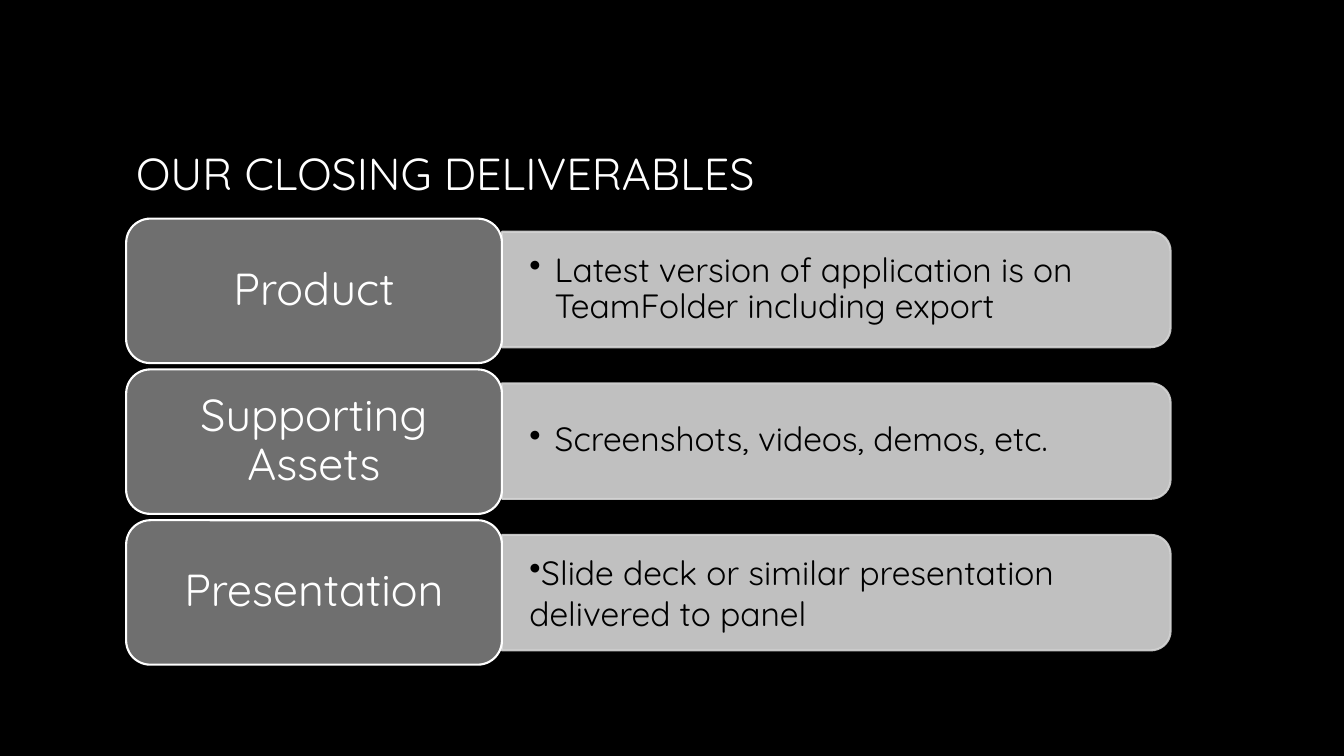
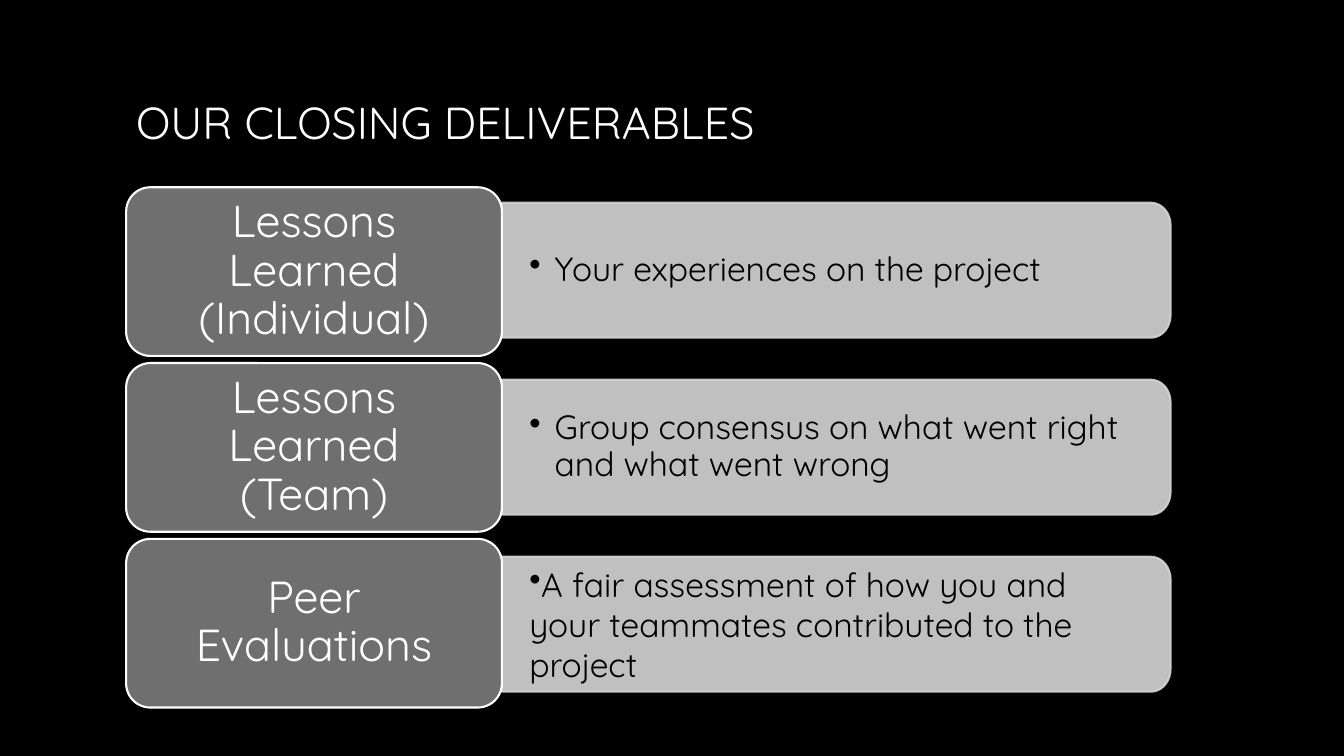
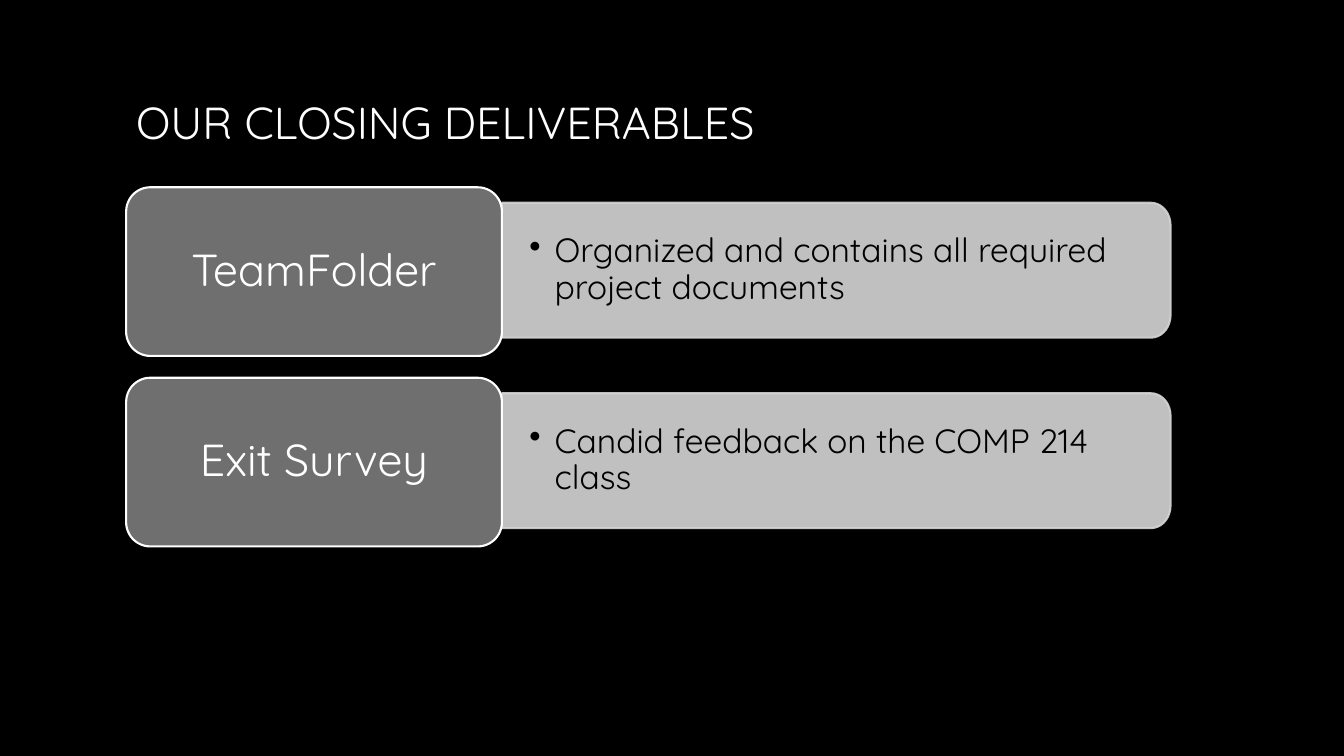
import dataclasses
import math

import lxml.etree
import pptx
import pptx.dml.color
import pptx.enum.shapes
import pptx.enum.text
import pptx.oxml.ns
import pptx.shapes.autoshape
import pptx.slide
import pptx.util

Cm = pptx.util.Cm

FONT = "Quicksand"
BLACK = "000000"
WHITE = "FFFFFF"
SILVER = "A6A6A6"
LABEL_GREY = "6F6F6F"
DETAIL_GREY = "D5D5D5"

TITLE = "OUR CLOSING DELIVERABLES"
LEFT = 3.18
LABEL_WIDTH = 9.47
DETAIL_WIDTH = 16.85
LABEL_RADIUS = 0.61
DETAIL_RADIUS = 0.5
LINE_WIDTH = 1.5


@dataclasses.dataclass
class Row:
    label: str
    detail: str
    hanging: bool = True


@dataclasses.dataclass
class Stack:
    """Vertical rhythm of one column of boxes, in centimetres."""
    top: float
    pitch: float
    height: float

    def row_top(self, index: int) -> float:
        return self.top + index * self.pitch


@dataclasses.dataclass
class Deliverables:
    title_top: float
    labels: Stack
    details: Stack
    rows: list[Row]


SLIDES = [
    Deliverables(1.7, Stack(5.51, 3.8, 3.64), Stack(5.84, 3.82, 2.91), [
        Row("Product", "Latest version of application is on TeamFolder including export"),
        Row("Supporting Assets", "Screenshots, videos, demos, etc."),
        Row("Presentation", "Slide deck or similar presentation delivered to panel", hanging=False),
    ]),
    Deliverables(0.43, Stack(4.72, 4.43, 4.25), Stack(5.11, 4.46, 3.4), [
        Row("Lessons Learned (Individual)", "Your experiences on the project"),
        Row("Lessons Learned (Team)", "Group consensus on what went right and what went wrong"),
        Row("Peer Evaluations",
            "A fair assessment of how you and your teammates contributed to the project",
            hanging=False),
    ]),
    Deliverables(0.43, Stack(4.72, 4.8, 4.25), Stack(5.11, 4.8, 3.4), [
        Row("TeamFolder", "Organized and contains all required project documents"),
        Row("Exit Survey", "Candid feedback on the COMP 214 class"),
    ]),
]


def color(value: str) -> pptx.dml.color.RGBColor:
    return pptx.dml.color.RGBColor.from_string(value)


def paint(shape: pptx.shapes.autoshape.Shape, fill: str, line: str) -> None:
    shape.shadow.inherit = False
    shape.fill.solid()
    shape.fill.fore_color.rgb = color(fill)
    shape.line.color.rgb = color(line)
    shape.line.width = pptx.util.Pt(LINE_WIDTH)


def set_opacity(shape: pptx.shapes.autoshape.Shape, percent: int) -> None:
    """Apply one opacity to the fill and the line of a painted shape."""
    for element in list(shape.element.spPr.iter(pptx.oxml.ns.qn("a:srgbClr"))):
        alpha = lxml.etree.SubElement(element, pptx.oxml.ns.qn("a:alpha"))
        alpha.set("val", str(percent * 1000))


def write(shape: pptx.shapes.autoshape.Shape, text: str, *, size: float, font_color: str,
          insets: tuple[float, float, float, float],
          alignment: pptx.enum.text.PP_ALIGN = pptx.enum.text.PP_ALIGN.LEFT,
          line_spacing: float = 1.0):
    """Fill the shape with one middle-anchored paragraph and return it."""
    frame = shape.text_frame
    frame.word_wrap = True
    frame.auto_size = pptx.enum.text.MSO_AUTO_SIZE.NONE
    frame.vertical_anchor = pptx.enum.text.MSO_ANCHOR.MIDDLE
    frame.margin_left, frame.margin_top, frame.margin_right, frame.margin_bottom = map(Cm, insets)
    paragraph = frame.paragraphs[0]
    paragraph.alignment = alignment
    paragraph.line_spacing = line_spacing
    run = paragraph.add_run()
    run.text = text
    run.font.name = FONT
    run.font.size = pptx.util.Pt(size)
    run.font.color.rgb = color(font_color)
    return paragraph


def add_bullet(paragraph, indent: float) -> None:
    properties = paragraph._p.get_or_add_pPr()
    properties.set("marL", str(Cm(indent)))
    properties.set("indent", str(-Cm(indent)))
    bullet = lxml.etree.SubElement(properties, pptx.oxml.ns.qn("a:buChar"))
    bullet.set("char", "•")


def format_title(slide: pptx.slide.Slide, top: float) -> None:
    title = slide.shapes.title
    title.left, title.top, title.width, title.height = Cm(LEFT), Cm(top), Cm(27.5), Cm(5.28)
    paragraph = write(title, TITLE, size=32, font_color=WHITE, insets=(0.25, 0.13, 0.25, 0.13))
    fill = paragraph.runs[0].font.fill
    fill.gradient()
    fill.gradient_angle = 267
    for stop, stop_color in zip(fill.gradient_stops, (WHITE, SILVER)):
        stop.color.rgb = color(stop_color)


def add_detail(slide: pptx.slide.Slide, row: Row, top: float, height: float) -> None:
    """Draw a box rounded on its right side only, with one bullet."""
    left = LEFT + LABEL_WIDTH
    right, bottom = left + DETAIL_WIDTH, top + height
    radius_y = height / 6
    points = [(left, top)]
    for center_y, start in ((top + radius_y, -90), (bottom - radius_y, 0)):
        for angle in range(start, start + 91, 10):
            radians = math.radians(angle)
            points.append((right - DETAIL_RADIUS + DETAIL_RADIUS * math.cos(radians),
                           center_y + radius_y * math.sin(radians)))
    points.append((left, bottom))
    corners = [(Cm(x), Cm(y)) for x, y in points]
    builder = slide.shapes.build_freeform(*corners[0])
    builder.add_line_segments(corners[1:], close=True)
    box = builder.convert_to_shape()
    paint(box, DETAIL_GREY, DETAIL_GREY)
    set_opacity(box, 90)
    paragraph = write(box, row.detail, size=24, font_color=BLACK,
                      insets=(0.69, 0.48, 0.84, 0.48),
                      line_spacing=0.9 if row.hanging else 1.0)
    add_bullet(paragraph, 0.64 if row.hanging else 0)


def add_label(slide: pptx.slide.Slide, text: str, top: float, height: float) -> None:
    box = slide.shapes.add_shape(pptx.enum.shapes.MSO_SHAPE.ROUNDED_RECTANGLE,
                                 Cm(LEFT), Cm(top), Cm(LABEL_WIDTH), Cm(height))
    box.adjustments[0] = LABEL_RADIUS / height
    paint(box, LABEL_GREY, WHITE)
    write(box, text, size=32, font_color=WHITE, insets=(0.38, 0.2, 0.38, 0.2),
          alignment=pptx.enum.text.PP_ALIGN.CENTER, line_spacing=0.9)


def main() -> None:
    presentation = pptx.Presentation()
    presentation.slide_width, presentation.slide_height = Cm(33.87), Cm(19.05)
    background = presentation.slide_master.background.fill
    background.solid()
    background.fore_color.rgb = color(BLACK)
    title_only = presentation.slide_layouts.get_by_name("Title Only")
    for content in SLIDES:
        slide = presentation.slides.add_slide(title_only)
        format_title(slide, content.title_top)
        for index, row in enumerate(content.rows):
            add_detail(slide, row, content.details.row_top(index), content.details.height)
            add_label(slide, row.label, content.labels.row_top(index), content.labels.height)
    presentation.save("out.pptx")


if __name__ == "__main__":
    main()
